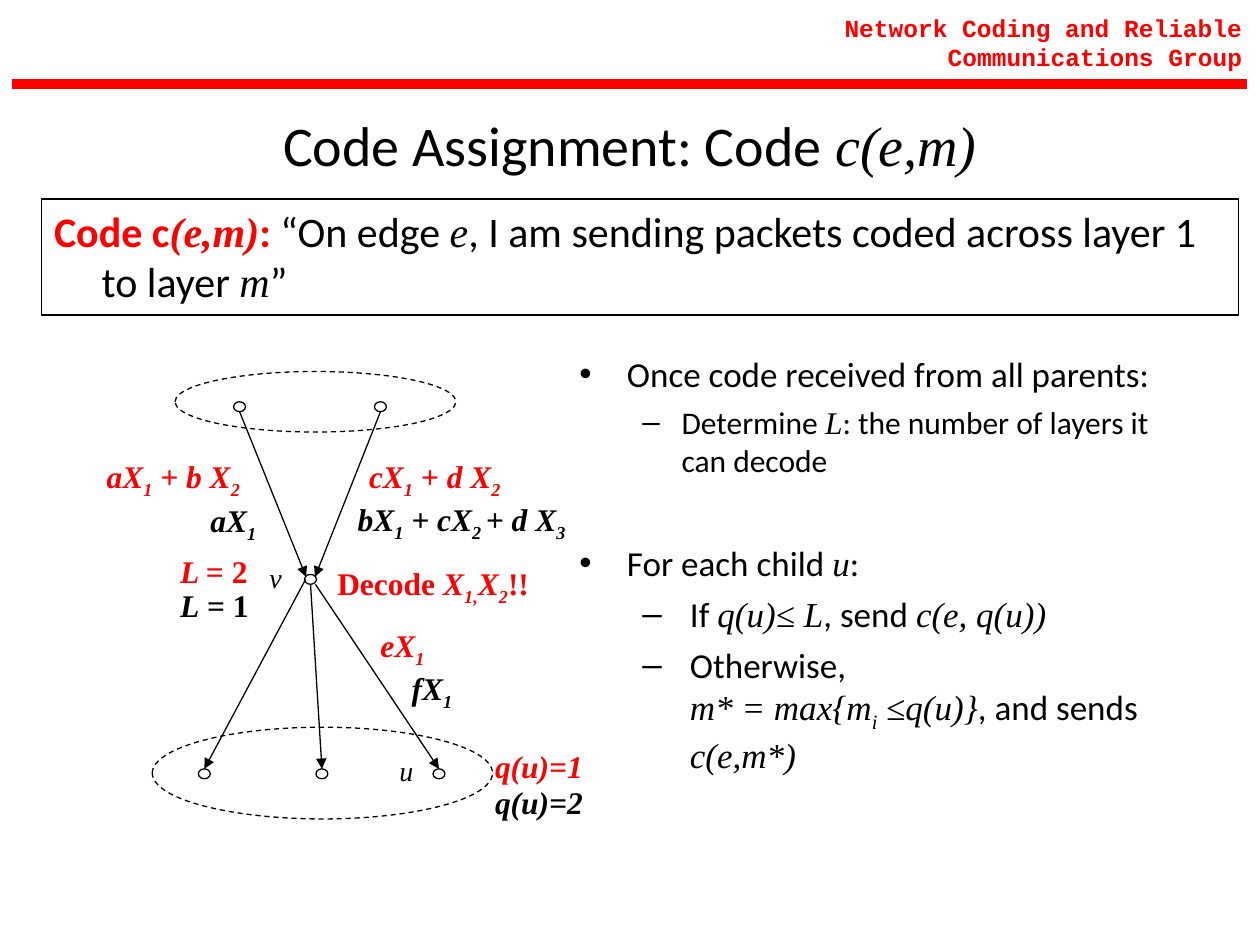
from dataclasses import dataclass, replace
from typing import Optional

from lxml.etree import SubElement
from pptx import Presentation
from pptx.dml.color import RGBColor
from pptx.enum.dml import MSO_LINE
from pptx.enum.shapes import MSO_CONNECTOR, MSO_SHAPE
from pptx.enum.text import MSO_ANCHOR, PP_ALIGN
from pptx.oxml.ns import qn
from pptx.util import Cm, Pt

RED, BLACK = "FF0000", "000000"
SANS, SERIF, MONO = "Calibri", "Times New Roman", "Courier New"


@dataclass(frozen=True)
class Span:
    text: str
    font: str = SANS
    italic: bool = False
    bold: bool = False
    color: str = BLACK
    subscript: bool = False


@dataclass(frozen=True)
class Para:
    spans: list[Span]
    size: float
    bullet: Optional[str] = None
    margin: float = 0
    hanging: float = 0
    before: float = 0
    align: PP_ALIGN = PP_ALIGN.LEFT


@dataclass(frozen=True)
class Label:
    left: float
    top: float
    width: float
    spans: list[Span]
    size: float = 18


@dataclass(frozen=True)
class Node:
    x: float
    y: float


def rgb(hex_color: str) -> RGBColor:
    return RGBColor.from_string(hex_color)


def math(text: str) -> Span:
    return Span(text, SERIF, italic=True)


def sub(text: str) -> Span:
    return replace(math(text), subscript=True)


def strong(color: str, *spans: Span) -> list[Span]:
    return [replace(span, bold=True, color=color) for span in spans]


def write(frame, paras: list[Para], *, anchor=MSO_ANCHOR.TOP) -> None:
    frame.word_wrap = True
    frame.vertical_anchor = anchor
    for index, para in enumerate(paras):
        paragraph = frame.add_paragraph() if index else frame.paragraphs[0]
        paragraph.alignment = para.align
        paragraph.space_before = Pt(para.before)
        props = paragraph._p.get_or_add_pPr()
        props.set("marL", str(Cm(para.margin)))
        props.set("indent", str(Cm(-para.hanging)))
        if para.bullet:
            SubElement(props, qn("a:buFont")).set("typeface", "Arial")
            SubElement(props, qn("a:buChar")).set("char", para.bullet)
        for span in para.spans:
            if span.text == "\n":
                paragraph.add_line_break()
                continue
            run = paragraph.add_run()
            run.text = span.text
            run.font.name = span.font
            run.font.size = Pt(para.size)
            run.font.bold = span.bold
            run.font.italic = span.italic
            run.font.color.rgb = rgb(span.color)
            if span.subscript:
                run._r.get_or_add_rPr().set("baseline", "-25000")


def add_text(slide, left: float, top: float, width: float, height: float,
             paras: list[Para], **format_options) -> None:
    box = slide.shapes.add_textbox(Cm(left), Cm(top), Cm(width), Cm(height))
    write(box.text_frame, paras, **format_options)


def add_outline(slide, preset, left: float, top: float, width: float,
                height: float, dashed: bool = False):
    shape = slide.shapes.add_shape(preset, Cm(left), Cm(top), Cm(width), Cm(height))
    shape.shadow.inherit = False
    shape.fill.background()
    shape.line.color.rgb = rgb(BLACK)
    shape.line.width = Pt(0.75)
    if dashed:
        shape.line.dash_style = MSO_LINE.DASH
    return shape


def add_node(slide, node: Node) -> None:
    width, height = 0.24, 0.2
    add_outline(slide, MSO_SHAPE.OVAL, node.x - width / 2, node.y - height / 2, width, height)


def add_line(slide, start: Node, end: Node, color: str = BLACK,
             weight: float = 0.75, arrow: bool = True) -> None:
    line = slide.shapes.add_connector(
        MSO_CONNECTOR.STRAIGHT, Cm(start.x), Cm(start.y), Cm(end.x), Cm(end.y))
    line.line.color.rgb = rgb(color)
    line.line.width = Pt(weight)
    if arrow:
        SubElement(line.line._get_or_add_ln(), qn("a:tailEnd")).set("type", "triangle")
    SubElement(line._element.spPr, qn("a:effectLst"))


def add_label(slide, label: Label) -> None:
    height = 1.12 if any(span.subscript for span in label.spans) else 1.02
    add_text(slide, label.left, label.top, label.width, height, [Para(label.spans, label.size)])


def add_heading(slide) -> None:
    group = Span("Network Coding and Reliable Communications Group", MONO, bold=True, color=RED)
    add_text(slide, 14.94, 0.13, 10.36, 1.45, [Para([group], 14, align=PP_ALIGN.RIGHT)])
    add_line(slide, Node(0.25, 1.69), Node(25.13, 1.69), RED, 6, arrow=False)
    title = [Span("Code Assignment: Code "), math("c(e,m)")]
    add_text(slide, 1.27, 2.01, 22.86, 1.78, [Para(title, 32, align=PP_ALIGN.CENTER)],
             anchor=MSO_ANCHOR.MIDDLE)
    definition = add_outline(slide, MSO_SHAPE.RECTANGLE, 0.84, 4.01, 24.13, 2.34)
    spans = strong(RED, Span("Code c"), math("(e,m)"), Span(": ")) + [
        Span("“On edge "), math("e"),
        Span(", I am sending packets coded across layer 1 to layer "), math("m"), Span("”")]
    write(definition.text_frame, [Para(spans, 24, margin=0.96, hanging=0.96, before=6)])


def add_graph(slide) -> None:
    parents = [Node(x, 8.2) for x in (4.83, 7.67)]
    relay = Node(6.26, 11.68)
    children = [Node(x, 15.6) for x in (4.12, 6.49, 8.85)]
    for node in [*parents, relay, *children]:
        add_node(slide, node)
    for parent, side in zip(parents, (-1, 1)):
        add_line(slide, Node(parent.x, parent.y + 0.1),
                 Node(relay.x + side * 0.09, relay.y - 0.05))
    for child, side in zip(children, (-1, 0, 1)):
        add_line(slide, Node(relay.x + side * 0.1, relay.y + (0.1 if side >= 0 else 0)),
                 Node(child.x, child.y - 0.1))
    add_outline(slide, MSO_SHAPE.OVAL, 3.53, 7.49, 5.66, 1.22, dashed=True)
    add_outline(slide, MSO_SHAPE.OVAL, 3.07, 14.66, 6.86, 1.85, dashed=True)

    one, two, three = sub("1"), sub("2"), sub("3")
    labels = [
        Label(5.18, 11.18, 0.94, [math("v")], 16),
        Label(7.8, 15.06, 0.94, [math("u")], 16),
        Label(1.9, 9.09, 3.81, strong(RED, math("aX"), one, math(" + b X"), two)),
        Label(7.19, 9.09, 3.61, strong(RED, math("cX"), one, math(" + d X"), two)),
        Label(3.38, 11, 3.18, strong(RED, math("L "), Span("= 2", SERIF))),
        Label(3.38, 11.68, 3.18, strong(BLACK, math("L"), Span(" = 1", SERIF))),
        Label(9.73, 14.94, 2.36, strong(RED, math("q(u)=1"))),
        Label(9.73, 15.67, 2.36, strong(BLACK, math("q(u)=2"))),
        Label(7.42, 12.5, 3.18, strong(RED, math("eX"), one)),
        Label(8.05, 13.36, 3.18, strong(BLACK, math("fX"), one)),
        Label(3.99, 9.98, 3.18, strong(BLACK, math("aX"), one)),
        Label(6.96, 9.96, 4.9, strong(BLACK, math("bX"), one, math(" + cX"), sub("2 "),
                                      math("+ d X"), three)),
        Label(6.55, 11.25, 4.65, strong(RED, Span("Decode ", SERIF), math("X"), sub("1,"),
                                        math("X"), two, Span("!!", SERIF))),
    ]
    for label in labels:
        add_label(slide, label)


def add_steps(slide) -> None:
    def step(*spans: Span) -> Para:
        return Para(list(spans), 20, "•", 0.96, 0.96, 5)

    def case(*spans: Span) -> Para:
        return Para(list(spans), 20, "–", 2.23, 0.96, 5)

    received = [
        step(Span("Once code received from all parents:")),
        Para([Span("Determine "), math("L"), Span(": the number of layers it can decode")],
             18, "–", 2.06, 0.79, 4.5)]
    per_child = [
        step(Span("For each child "), math("u"), Span(":")),
        case(Span("If "), math("q(u)≤ L"), Span(", send "), math("c(e, q(u))")),
        case(Span("Otherwise, "), Span("\n"), math("m* = max{m"), sub("i"), math(" ≤q(u)}"),
             Span(", and sends "), math("c(e,m*)"))]
    for top, paras in ((6.99, received), (10.8, per_child)):
        add_text(slide, 11.43, top, 12.7, 3.18, paras)


def main() -> None:
    deck = Presentation()
    deck.slide_width, deck.slide_height = Cm(25.4), Cm(19.05)
    slide = deck.slides.add_slide(deck.slide_layouts[6])
    add_heading(slide)
    add_graph(slide)
    add_steps(slide)
    deck.save("out.pptx")


if __name__ == "__main__":
    main()
